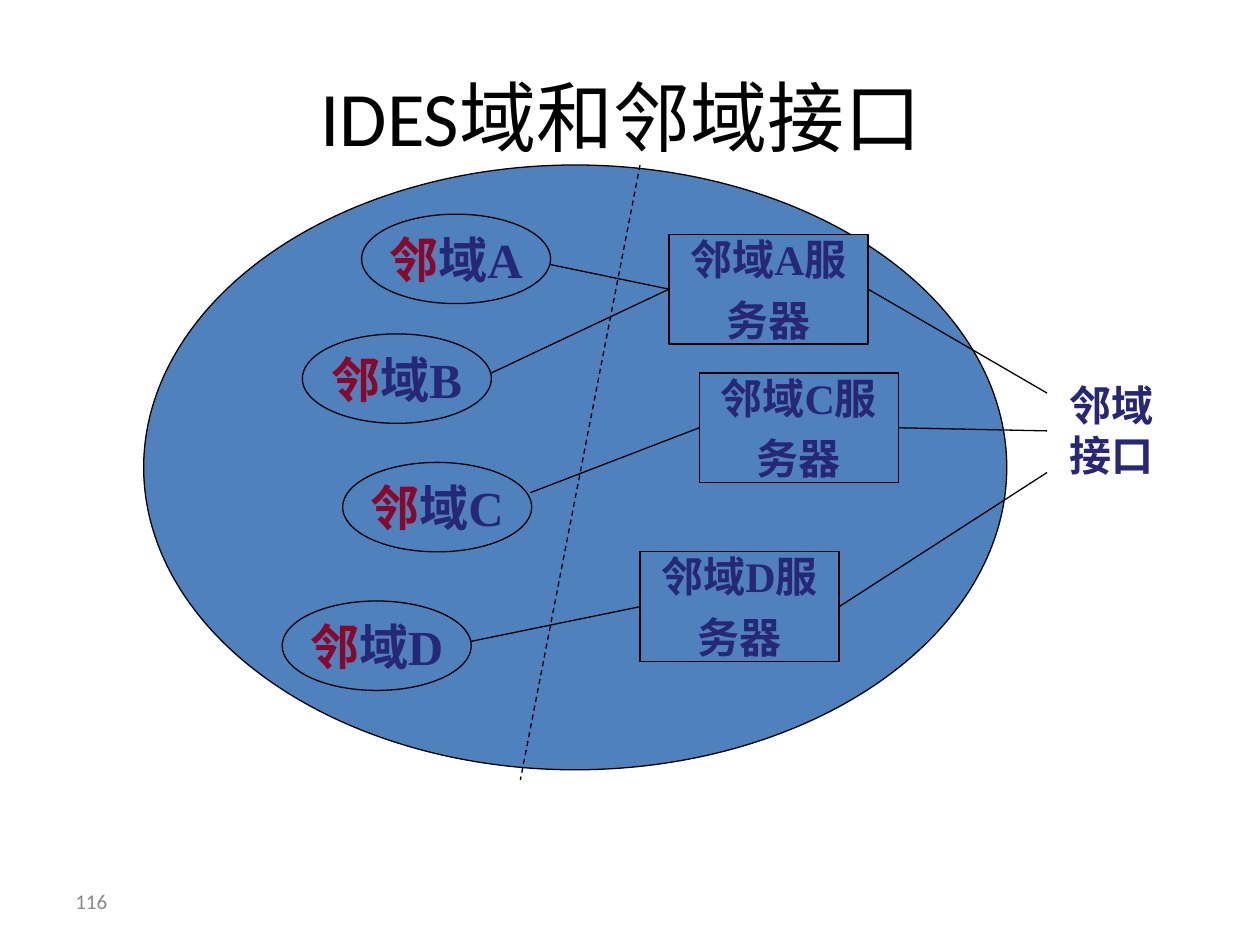
from pptx import Presentation
from pptx.dml.color import RGBColor
from pptx.enum.dml import MSO_LINE
from pptx.enum.shapes import MSO_CONNECTOR, MSO_SHAPE
from pptx.enum.text import MSO_ANCHOR, PP_ALIGN
from pptx.oxml.ns import qn
from pptx.util import Inches, Pt
from lxml.etree import SubElement

# Content
TITLE = "IDES域和邻域接口"
PAGE_NUMBER = "116"
INTERFACE = "邻域接口"

BLUE, NAVY, RED = "4F81BD", "272777", "8B072A"
BLACK, GREY = "000000", "898989"
SERIF, SANS = "Times New Roman", "Calibri"

# Domain: letter, left, top, start of its line, its server
DOMAINS = [
    ("A", 2.87, 1.70, (4.37, 2.10), "A"),
    ("B", 2.40, 2.65, (3.90, 2.96), "A"),
    ("C", 2.72, 3.67, (4.21, 3.91), "C"),
    ("D", 2.24, 4.77, (3.74, 5.09), "D"),
]
DOMAIN_SIZE = (1.5, 0.71)

# Server: letter, left, top, height at which its line meets the interface
SERVERS = [
    ("A", 5.31, 1.86, 3.12),
    ("C", 5.55, 2.96, 3.42),
    ("D", 5.08, 4.38, 3.75),
]
SERVER_SIZE = (1.58, 0.87)
INTERFACE_X = 8.31
LEFT_SIDE, RIGHT_SIDE = 1, 3


def colour(value):
    return RGBColor.from_string(value)


def add_run(paragraph, text, size, font, shade, bold=False):
    run = paragraph.add_run()
    run.text = text
    run.font.size = Pt(size)
    run.font.name = font
    run.font.bold = bold
    run.font.color.rgb = colour(shade)


def write(frame, paragraphs, size, font=SERIF, bold=True, align=PP_ALIGN.CENTER,
          before=0, anchor=MSO_ANCHOR.MIDDLE, wrap=False):
    """Fill a frame; each paragraph is a list of (text, colour) runs."""
    frame.word_wrap = wrap
    frame.vertical_anchor = anchor
    for index, runs in enumerate(paragraphs):
        paragraph = frame.add_paragraph() if index else frame.paragraphs[0]
        paragraph.alignment = align
        paragraph.space_before = Pt(before)
        for text, shade in runs:
            add_run(paragraph, text, size, font, shade, bold)


def add_box(kind, left, top, width, height):
    box = slide.shapes.add_shape(kind, *map(Inches, (left, top, width, height)))
    box.shadow.inherit = False
    box.fill.solid()
    box.fill.fore_color.rgb = colour(BLUE)
    box.line.color.rgb = colour(BLACK)
    box.line.width = Pt(0.75)
    return box


def add_line(start, end):
    line = slide.shapes.add_connector(
        MSO_CONNECTOR.STRAIGHT, *map(Inches, (*start, *end)))
    line.line.color.rgb = colour(BLACK)
    line.line.width = Pt(0.75)
    SubElement(line.element.spPr, qn("a:effectLst"))
    return line


def add_label(left, top, width, height):
    return slide.shapes.add_textbox(
        *map(Inches, (left, top, width, height))).text_frame


presentation = Presentation()
presentation.slide_width, presentation.slide_height = Inches(10), Inches(7.5)
slide = presentation.slides.add_slide(presentation.slide_layouts[5])

# Title and page number
title = slide.shapes.title
title.left, title.top, title.width, title.height = map(
    Inches, (0.43, 0.52, 9, 0.79))
write(title.text_frame, [[(TITLE, BLACK)]], 44, SANS, bold=False, wrap=True)
write(add_label(0.5, 6.95, 2.33, 0.4), [[(PAGE_NUMBER, GREY)]], 12, SANS,
      bold=False, align=PP_ALIGN.LEFT, wrap=True)

# Whole IDES domain with its dashed divider
add_box(MSO_SHAPE.OVAL, 1.14, 1.31, 6.85, 4.8)
divider = add_line((5.08, 1.31), (4.13, 6.19))
divider.line.dash_style = MSO_LINE.DASH

# Neighbouring domains
for letter, left, top, _, _ in DOMAINS:
    domain = add_box(MSO_SHAPE.OVAL, left, top, *DOMAIN_SIZE)
    write(domain.text_frame, [[("邻", RED), ("域" + letter, NAVY)]], 28, before=7)

# Servers
servers = {}
for letter, left, top, _ in SERVERS:
    server = add_box(MSO_SHAPE.RECTANGLE, left, top, *SERVER_SIZE)
    write(server.text_frame, [[(f"邻域{letter}服", NAVY)], [("务器", NAVY)]],
          24, before=6)
    servers[letter] = server

# Lines from domains to servers, and from servers to the interface
for _, _, _, start, letter in DOMAINS:
    add_line(start, start).end_connect(servers[letter], LEFT_SIDE)
for letter, _, _, meeting_y in SERVERS:
    meeting = (INTERFACE_X, meeting_y)
    add_line(meeting, meeting).begin_connect(servers[letter], RIGHT_SIDE)

# Interface label
write(add_label(8.39, 2.96, 1.18, 0.9), [[(INTERFACE, NAVY)]], 24,
      align=PP_ALIGN.LEFT, before=15, anchor=MSO_ANCHOR.TOP, wrap=True)

presentation.save("out.pptx")
